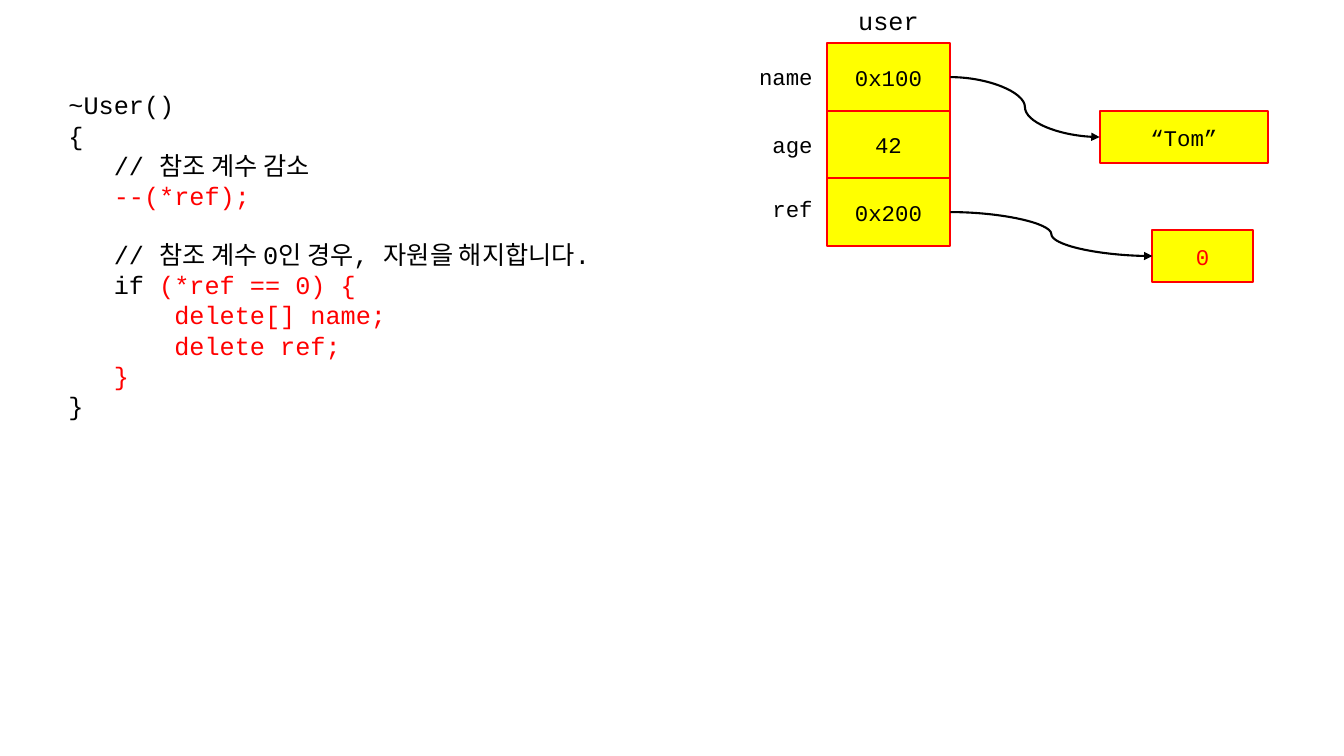
from dataclasses import dataclass

from lxml.etree import SubElement
from pptx import Presentation
from pptx.dml.color import RGBColor
from pptx.enum.shapes import MSO_CONNECTOR as Connector, MSO_SHAPE as Shape
from pptx.enum.text import MSO_ANCHOR as Anchor, MSO_AUTO_SIZE as AutoSize, PP_ALIGN as Align
from pptx.oxml.ns import qn
from pptx.util import Pt


@dataclass(frozen=True)
class Theme:
    font: str = "Courier New"
    ink: RGBColor = RGBColor(0, 0, 0)
    accent: RGBColor = RGBColor(255, 0, 0)
    cell: RGBColor = RGBColor(255, 255, 0)
    code_size: float = 18
    label_size: float = 16
    stroke: float = 1.5


THEME = Theme()
INK, RED = THEME.ink, THEME.accent

# Each code line: space before it, then its runs
CODE = [
    (0, [(" ~User()", INK)]),
    (0, [(" {", INK)]),
    (0, [("    // 참조 계수 감소", INK)]),
    (0, [("    --(*ref);", RED)]),
    (20.4, [("    // 참조 계수 0인 경우, 자원을 해지합니다.", INK)]),
    (0, [("    if ", INK), ("(*ref == 0) {", RED)]),
    (0, [("        delete[] name;", RED)]),
    (0, [("        delete ref;", RED)]),
    (0, [("    }", RED)]),
    (0, [(" }", INK)]),
]

# Each field: name, value, distance of the label below the cell top
FIELDS = [("name", "0x100", 10.8), ("age", "42", 10.8), ("ref", "0x200", 8.6)]


def add_span(para, text, size, color):
    span = para.add_run()
    span.text = text
    span.font.name = THEME.font
    span.font.size = Pt(size)
    span.font.color.rgb = color


def add_text_box(page, left, top, width, height, wrap=False):
    box = page.shapes.add_textbox(Pt(left), Pt(top), Pt(width), Pt(height))
    box.text_frame.word_wrap = wrap
    box.text_frame.auto_size = AutoSize.SHAPE_TO_FIT_TEXT
    return box


def add_label(page, left, top, width, height, text, size):
    box = add_text_box(page, left, top, width, height)
    para = box.text_frame.paragraphs[0]
    para.alignment = Align.CENTER
    add_span(para, text, size, INK)


def add_cell(page, left, top, width, height, text, color=INK):
    box = page.shapes.add_shape(Shape.RECTANGLE, Pt(left), Pt(top), Pt(width), Pt(height))
    box.shadow.inherit = False
    box.fill.solid()
    box.fill.fore_color.rgb = THEME.cell
    box.line.color.rgb = THEME.accent
    box.line.width = Pt(THEME.stroke)
    box.text_frame.vertical_anchor = Anchor.MIDDLE
    para = box.text_frame.paragraphs[0]
    para.alignment = Align.CENTER
    add_span(para, text, THEME.label_size, color)
    return box


def add_pointer(page, source, target):
    arrow = page.shapes.add_connector(Connector.CURVE, 0, 0, 0, 0)
    arrow.begin_connect(source, 3)
    arrow.end_connect(target, 1)
    arrow.line.color.rgb = INK
    arrow.line.width = Pt(THEME.stroke)
    properties = arrow.line._get_or_add_ln()
    SubElement(properties, qn("a:tailEnd"), type="triangle")
    SubElement(properties.getparent(), qn("a:effectLst"))


def add_code(page, left, top, width, height):
    frame = add_text_box(page, left, top, width, height, wrap=True).text_frame
    for index, (gap, spans) in enumerate(CODE):
        para = frame.add_paragraph() if index else frame.paragraphs[0]
        if gap:
            para.space_before = Pt(gap)
        for text, color in spans:
            add_span(para, text, THEME.code_size, color)


def add_memory(page, left, top, width, height):
    # Object heading, field labels and stacked cells
    cell_width, cell_height = 88.4, 48.2
    heading_height, label_height = 29, 26.6
    cells_left, cells_top = left + 56.2, top + 31
    add_label(page, cells_left + 8.6, top, 71.2, heading_height, "user", THEME.code_size)
    cells = {}
    for row, (name, value, drop) in enumerate(FIELDS):
        cell_top = cells_top + row * cell_height
        cells[name] = add_cell(page, cells_left, cell_top, cell_width, cell_height, value)
        label_width = 9.6 * len(name) + 15
        add_label(page, cells_left - 2.4 - label_width, cell_top + drop,
                  label_width, label_height, name, THEME.label_size)

    # Heap values, measured from the right and bottom edges
    right, bottom, heap_height = left + width, top + height, 37.4
    tom = add_cell(page, right - 120.3, cells_top + cell_height, 120.3, heap_height, "“Tom”")
    count = add_cell(page, right - 82.7, bottom - heap_height, 72, heap_height, "0", RED)
    add_pointer(page, cells["name"], tom)
    add_pointer(page, cells["ref"], count)


def main():
    deck = Presentation()
    deck.slide_width, deck.slide_height = Pt(960), Pt(540)
    page = deck.slides.add_slide(deck.slide_layouts[6])
    add_code(page, 31, 60.5, 480, 247)
    add_memory(page, 534.2, 0, 371.6, 201.6)
    deck.save("out.pptx")


if __name__ == "__main__":
    main()
